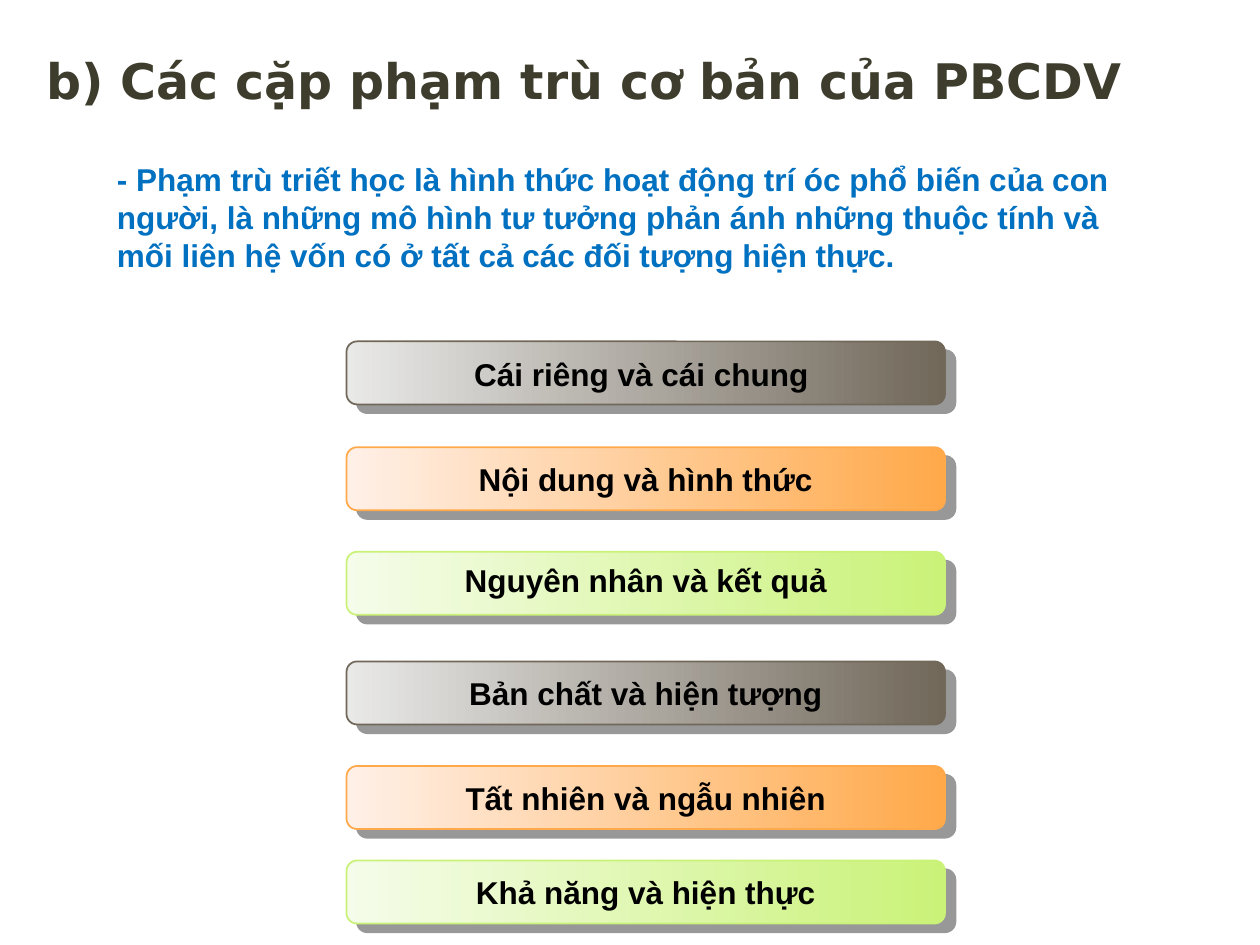
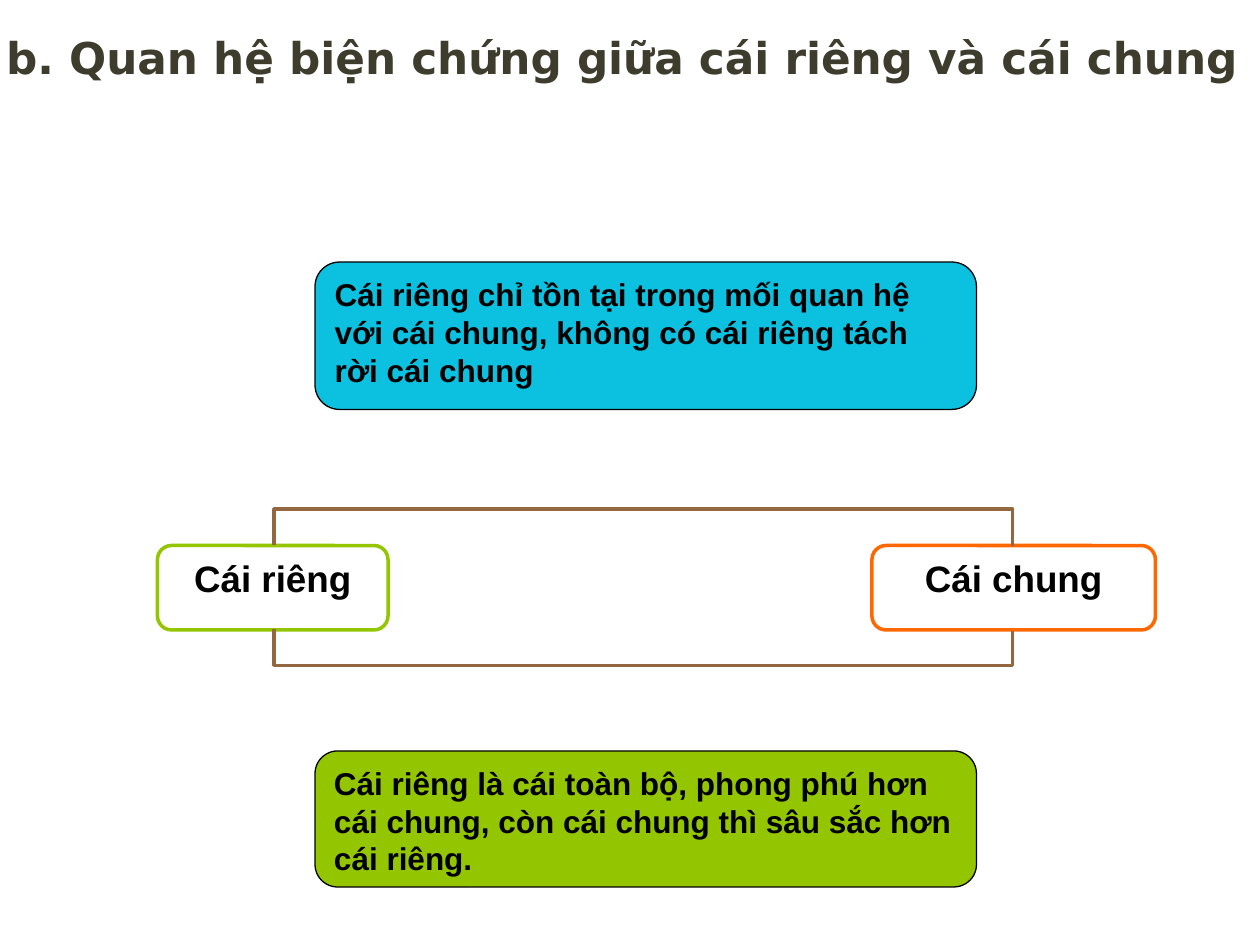
from lxml.etree import SubElement
from pptx import Presentation
from pptx.dml.color import RGBColor
from pptx.enum.shapes import MSO_CONNECTOR, MSO_SHAPE
from pptx.enum.text import MSO_ANCHOR, MSO_AUTO_SIZE, PP_ALIGN
from pptx.oxml.ns import qn
from pptx.util import Pt

PX = 9144  # EMU per px, 100 px to the inch
COLORS = {
    "title": "3E3D2D", "text": "000000", "definition": "0070C0",
    "white": "FFFFFF", "shadow": "333333", "bracket": "93673F",
    "cyan": "0CC1E0", "green": "94C600", "orange": "FF6700",
    "stone_light": "E9E9E8", "stone": "71685A",
    "peach_light": "FFF0E7", "peach": "FFA94A",
    "lime_light": "F5FCEA", "lime": "CAF278",
}
BODY_FONT = "Arial"
TITLE_FONT = "DejaVu Sans"


def rgb(name):
    return RGBColor.from_string(COLORS[name])


def write_text(shape, text, size=18, color="text", font=BODY_FONT,
               align=PP_ALIGN.LEFT, anchor=MSO_ANCHOR.TOP, grow=False):
    frame = shape.text_frame
    frame.word_wrap = True
    frame.vertical_anchor = anchor
    frame.auto_size = MSO_AUTO_SIZE.SHAPE_TO_FIT_TEXT if grow else MSO_AUTO_SIZE.NONE
    paragraph = frame.paragraphs[0]
    paragraph.alignment = align
    run = paragraph.add_run()
    run.text = text
    run.font.name = font
    run.font.size = Pt(size)
    run.font.bold = True
    run.font.color.rgb = rgb(color)


class SlideBuilder:
    def __init__(self, presentation):
        self.presentation = presentation
        self.slide = None

    def new_slide(self):
        self.slide = self.presentation.slides.add_slide(
            self.presentation.slide_layouts[6])

    def text(self, box, text, **style):
        shape = self.slide.shapes.add_textbox(*(length * PX for length in box))
        write_text(shape, text, **style)

    def title(self, box, text, **style):
        self.text(box, text, color="title", font=TITLE_FONT,
                  anchor=MSO_ANCHOR.MIDDLE, **style)

    def rounded(self, box, line, line_width):
        shape = self.slide.shapes.add_shape(
            MSO_SHAPE.ROUNDED_RECTANGLE, *(length * PX for length in box))
        shape.shadow.inherit = False
        shape.line.color.rgb = rgb(line)
        shape.line.width = Pt(line_width)
        return shape

    def card(self, box, text, fill, line="text", line_width=0.75, **style):
        shape = self.rounded(box, line, line_width)
        shape.fill.solid()
        shape.fill.fore_color.rgb = rgb(fill)
        write_text(shape, text, **style)

    def gradient_bar(self, box, hue):
        shape = self.rounded(box, hue, 1)
        shape.fill.gradient()
        shape.fill.gradient_angle = 0
        for stop, color in zip(shape.fill.gradient_stops, (hue + "_light", hue)):
            stop.color.rgb = rgb(color)
        # Hard offset shadow, half transparent
        effects = shape._element.spPr.find(qn("a:effectLst"))
        shadow = SubElement(effects, qn("a:outerShdw"), blurRad="0",
                            dist=str(Pt(7.8)), dir=str(40 * 60000),
                            algn="ctr", rotWithShape="0")
        color = SubElement(shadow, qn("a:srgbClr"), val=COLORS["shadow"])
        SubElement(color, qn("a:alpha"), val="50000")

    def bracket(self, left, right, y, rise):
        """Elbow connector between two points at height y, bulging by rise."""
        span = right - left
        middle = (left + right) // 2
        connector = self.slide.shapes.add_connector(
            MSO_CONNECTOR.ELBOW, middle * PX, (y - span // 2) * PX,
            (middle + 1) * PX, (y + span // 2) * PX)
        connector.line.color.rgb = rgb("bracket")
        connector.line.width = Pt(2)
        properties = connector._element.spPr
        SubElement(properties, qn("a:effectLst"))
        # Turned on its side; the bulge is a multiple of the 1 px thickness
        transform = properties.find(qn("a:xfrm"))
        transform.set("rot", str(270 * 60000))
        transform.set("flipH", "1")
        geometry = properties.find(qn("a:prstGeom"))
        adjustments = geometry.find(qn("a:avLst"))
        if adjustments is None:
            adjustments = SubElement(geometry, qn("a:avLst"))
        SubElement(adjustments, qn("a:gd"), name="adj1",
                   fmla=f"val {-rise * 100000}")


def category_pairs_slide(builder):
    builder.new_slide()
    builder.title((27, 35, 948, 57), "b) Các cặp phạm trù cơ bản của PBCDV", size=28)
    builder.text((83, 122, 808, 101),
                 "- Phạm trù triết học là hình thức hoạt động trí óc phổ biến của con "
                 "người, là những mô hình tư tưởng phản ánh những thuộc tính và mối "
                 "liên hệ vốn có ở tất cả các đối tượng hiện thực.",
                 color="definition", grow=True)
    # Bar top, label top, label
    pairs = [
        (271, 277, "Cái riêng và cái chung "),
        (355, 360, "Nội dung và hình thức"),
        (438, 440, "Nguyên nhân và kết quả"),
        (525, 530, "Bản chất và hiện tượng"),
        (608, 613, "Tất nhiên và ngẫu nhiên"),
        (683, 688, "Khả năng và hiện thực"),
    ]
    hues = ("stone", "peach", "lime")
    for index, (bar_top, label_top, label) in enumerate(pairs):
        builder.gradient_bar((275, bar_top, 475, 50), hues[index % len(hues)])
        builder.text((325, label_top, 375, 40), label,
                     align=PP_ALIGN.CENTER, grow=True)


def relation_slide(builder):
    builder.new_slide()
    # Statements
    builder.card((250, 208, 525, 117),
                 "Cái riêng chỉ tồn tại trong mối quan hệ với cái chung, "
                 "không có cái riêng tách rời cái chung", "cyan")
    builder.card((250, 596, 525, 108),
                 "Cái riêng là cái toàn bộ, phong phú hơn cái chung, "
                 "còn cái chung thì sâu sắc hơn cái riêng.", "green")
    # The two concepts and the brackets joining them
    for left, width, label, line in ((125, 183, "Cái riêng", "green"),
                                     (692, 225, "Cái chung", "orange")):
        builder.card((left, 433, width, 67), label, "white", line=line,
                     line_width=2, size=21, align=PP_ALIGN.CENTER)
    for y, rise in ((433, 29), (500, -29)):
        builder.bracket(217, 804, y, rise)
    builder.title((-15, 17, 1017, 56),
                  "b. Quan hệ biện chứng giữa cái riêng và cái chung",
                  size=25, align=PP_ALIGN.CENTER)


def main():
    presentation = Presentation()
    presentation.slide_width = 1000 * PX
    presentation.slide_height = 750 * PX
    builder = SlideBuilder(presentation)
    category_pairs_slide(builder)
    relation_slide(builder)
    presentation.save("out.pptx")


if __name__ == "__main__":
    main()
